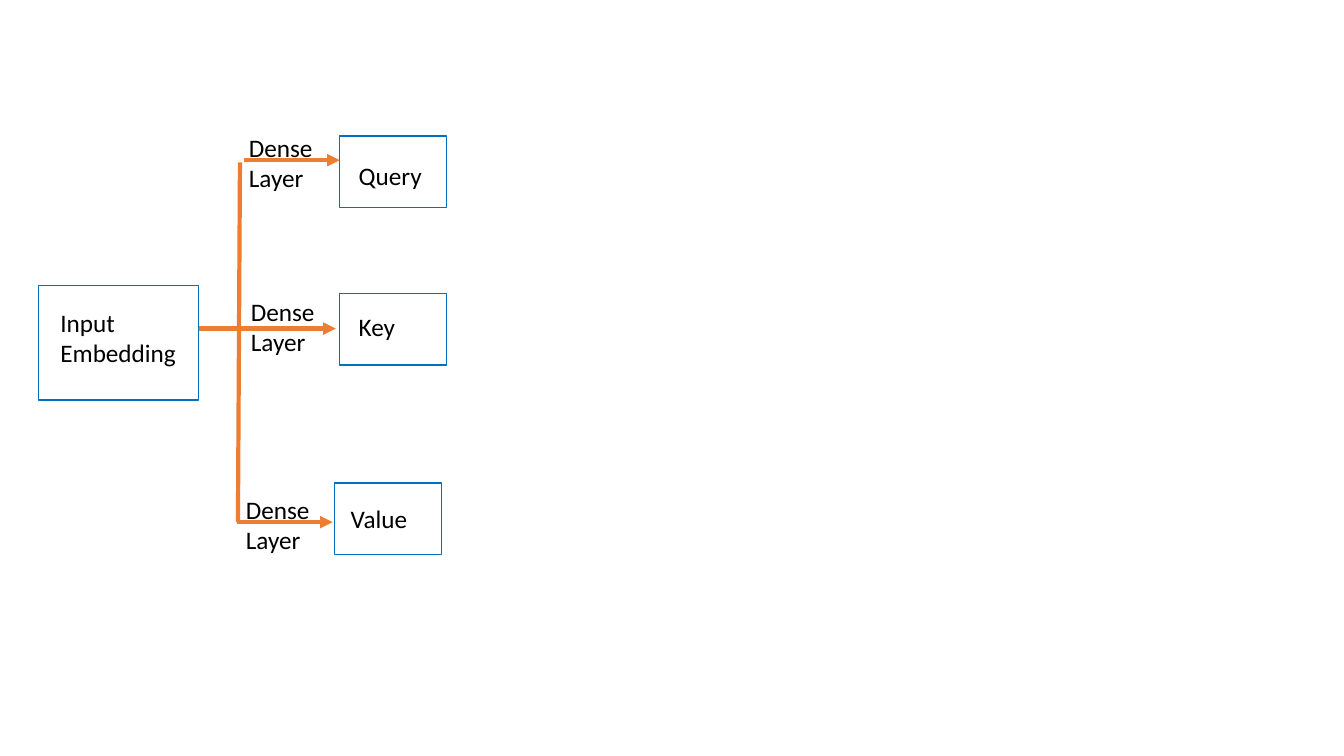
from dataclasses import dataclass

from lxml.etree import SubElement
from pptx import Presentation
from pptx.dml.color import RGBColor
from pptx.enum.shapes import MSO_CONNECTOR, MSO_SHAPE
from pptx.enum.text import MSO_AUTO_SIZE
from pptx.oxml.ns import qn
from pptx.util import Inches, Pt


@dataclass(frozen=True)
class Theme:
    font: str = "Calibri"
    text_size: Pt = Pt(18)
    text: RGBColor = RGBColor(0x00, 0x00, 0x00)
    box_line: RGBColor = RGBColor(0x00, 0x70, 0xC0)
    box_line_width: Pt = Pt(1)
    flow: RGBColor = RGBColor(0xED, 0x7D, 0x31)
    flow_width: Pt = Pt(3)


THEME = Theme()
OUTPUT_SIZE = (1.06, 0.71)
OUTPUT_TEXT_SIZE = (0.93, 0.4)
LABEL_SIZE = (0.93, 0.71)
ARROW_LENGTH = 0.95

OUTPUTS = [
    ("Query", (3.37, 1.35), (3.46, 1.54)),
    ("Key", (3.37, 2.91), (3.46, 3.04)),
    ("Value", (3.32, 4.79), (3.38, 4.94)),
]
DENSE_LAYERS = [
    ((2.42, 1.59), (2.37, 1.26)),
    ((2.38, 3.26), (2.39, 2.89)),
    ((2.35, 5.18), (2.34, 4.85)),
]


def add_box(slide, position, size):
    box = slide.shapes.add_shape(
        MSO_SHAPE.RECTANGLE, *map(Inches, position + size)
    )
    box.shadow.inherit = False
    box.fill.background()
    box.line.color.rgb = THEME.box_line
    box.line.width = THEME.box_line_width


def add_text(slide, text, position, size):
    frame = slide.shapes.add_textbox(*map(Inches, position + size)).text_frame
    frame.word_wrap = True
    frame.auto_size = MSO_AUTO_SIZE.SHAPE_TO_FIT_TEXT
    frame.text = text
    for paragraph in frame.paragraphs:
        for run in paragraph.runs:
            run.font.name = THEME.font
            run.font.size = THEME.text_size
            run.font.color.rgb = THEME.text


def add_flow(slide, start, end, arrow=False):
    flow = slide.shapes.add_connector(
        MSO_CONNECTOR.STRAIGHT, *map(Inches, start + end)
    )
    flow.line.color.rgb = THEME.flow
    flow.line.width = THEME.flow_width
    if arrow:
        SubElement(flow.line._get_or_add_ln(), qn("a:tailEnd"), type="triangle")
    SubElement(flow._element.spPr, qn("a:effectLst"))


def main():
    presentation = Presentation()
    presentation.slide_width = Inches(13.33)
    presentation.slide_height = Inches(7.5)
    slide = presentation.slides.add_slide(presentation.slide_layouts[6])

    add_box(slide, (0.38, 2.83), (1.59, 1.14))
    add_text(slide, "Input Embedding", (0.5, 3), (1.59, 0.71))
    for name, box_position, text_position in OUTPUTS:
        add_box(slide, box_position, OUTPUT_SIZE)
        add_text(slide, name, text_position, OUTPUT_TEXT_SIZE)

    add_flow(slide, (1.97, 3.26), (2.35, 3.26))
    add_flow(slide, (2.36, 5.18), (2.38, 1.61))
    for (left, top), label_position in DENSE_LAYERS:
        add_flow(slide, (left, top), (left + ARROW_LENGTH, top), arrow=True)
        add_text(slide, "Dense\nLayer", label_position, LABEL_SIZE)

    presentation.save("out.pptx")


if __name__ == "__main__":
    main()
